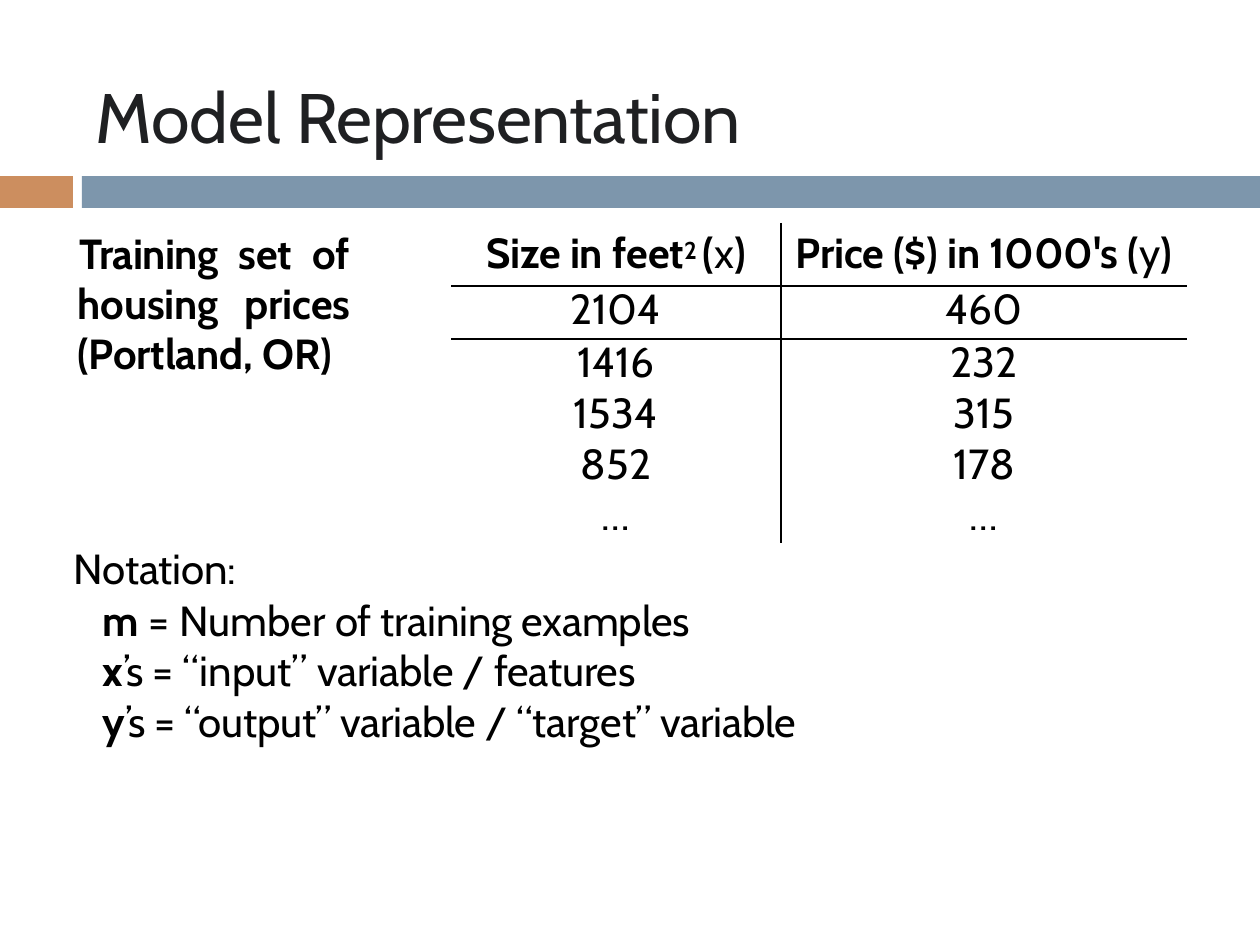
from lxml import etree
from pptx import Presentation
from pptx import util as u
from pptx.dml.color import RGBColor
from pptx.enum import shapes, text
from pptx.oxml import ns

COLORS = {"title": "1F2022", "text": "000000", "orange": "CC8E5F", "blue": "7D96AC"}
SCALE = 914400 / 126  # EMU per px


def px(length):
    return u.Emu(round(length * SCALE))


class SlideBuilder:
    font_name = "Cabin"
    body_size = 24

    def __init__(self, presentation):
        self.slide = presentation.slides.add_slide(presentation.slide_layouts[6])

    def bar(self, left, top, width, height, color):
        shape = self.slide.shapes.add_shape(
            shapes.MSO_SHAPE.RECTANGLE, px(left), px(top), px(width), px(height))
        shape.shadow.inherit = False
        shape.fill.solid()
        shape.fill.fore_color.rgb = RGBColor.from_string(COLORS[color])
        shape.line.fill.background()

    def fill_paragraph(self, paragraph, runs, size=body_size, color="text",
                       align=text.PP_ALIGN.LEFT, margin=0, indent=0, before=0, line=None):
        """Each run is (words, bold, letter spacing in 1/100 pt[, baseline in 1/1000 %])."""
        properties = paragraph._p.get_or_add_pPr()
        properties.set("marL", str(px(margin)))
        properties.set("indent", str(px(indent)))
        paragraph.alignment = align
        paragraph.space_before = u.Pt(before)
        if line:
            paragraph.line_spacing = u.Pt(line)
        paragraph.font.name = self.font_name
        paragraph.font.size = u.Pt(size)
        paragraph.font.color.rgb = RGBColor.from_string(COLORS[color])
        for words, bold, spacing, *baseline in runs:
            run = paragraph.add_run()
            run.text = words
            run.font.bold = bold
            run_properties = run._r.get_or_add_rPr()
            run_properties.set("spc", str(spacing))
            if baseline:
                run_properties.set("baseline", str(baseline[0]))

    def text_box(self, left, top, width, height, paragraphs, inset=1):
        """Each paragraph is (runs, options for fill_paragraph)."""
        shape = self.slide.shapes.add_textbox(px(left), px(top), px(width), px(height))
        frame = shape.text_frame
        frame.word_wrap = True
        frame.margin_left = frame.margin_right = frame.margin_bottom = 0
        frame.margin_top = px(inset)
        for index, (runs, options) in enumerate(paragraphs):
            paragraph = frame.add_paragraph() if index else frame.paragraphs[0]
            self.fill_paragraph(paragraph, runs, **options)

    def borders(self, cell, sides):
        properties = cell._tc.get_or_add_tcPr()
        for side in "LRTB":
            line = etree.SubElement(properties, ns.qn(f"a:ln{side}"))
            if side in sides:
                line.set("w", str(u.Pt(1.5)))
                fill = etree.SubElement(line, ns.qn("a:solidFill"))
                etree.SubElement(fill, ns.qn("a:srgbClr")).set("val", COLORS["text"])
            else:
                etree.SubElement(line, ns.qn("a:noFill"))

    def table(self, left, top, widths, heights, rows, ruled_rows):
        """Draw a line between columns, and one under each of the first ruled_rows rows."""
        table = self.slide.shapes.add_table(
            len(rows), len(widths), px(left), px(top),
            px(sum(widths)), px(sum(heights))).table
        table.first_row = table.horz_banding = False
        for column, width in zip(table.columns, widths):
            column.width = px(width)
        for row_index, (row, height) in enumerate(zip(rows, heights)):
            table.rows[row_index].height = px(height)
            for column_index, runs in enumerate(row):
                cell = table.cell(row_index, column_index)
                cell.margin_left = cell.margin_right = cell.margin_bottom = 0
                cell.margin_top = px(0 if row_index else 5)
                sides = "L" if column_index else "R"
                if row_index < ruled_rows:
                    sides += "B"
                if 0 < row_index <= ruled_rows:
                    sides += "T"
                self.borders(cell, sides)
                cell.fill.background()
                self.fill_paragraph(cell.text_frame.paragraphs[0], runs,
                                    align=text.PP_ALIGN.CENTER,
                                    line=27.8 if row_index else None)


def main():
    presentation = Presentation()
    presentation.slide_width, presentation.slide_height = px(1260), px(945)
    builder = SlideBuilder(presentation)

    # Bars under the title
    builder.bar(0, 176, 73, 32, "orange")
    builder.bar(82, 176, 1178, 32, "blue")

    # Title
    builder.text_box(95, 72, 702, 87, [
        ([("Model ", False, -10), ("Representation", False, -20)],
         {"size": 40, "color": "title", "margin": 1})], inset=2)

    # Training set
    builder.text_box(77, 224, 273, 205, [
        ([("Training ", True, -30), ("set of housing prices (Portland, OR)", True, -10)],
         {"align": text.PP_ALIGN.JUSTIFY, "margin": 1, "indent": 2})], inset=3)

    # Table of sizes and prices
    header = [
        [("Size in ", True, -10), ("feet", True, 0), ("2 ", True, 0, 21000),
         ("(", True, -10), ("x", False, -10), (")", True, -10)],
        [("Price ($) in 1000's (", True, -10), ("y", False, -10), (")", True, -10)],
    ]
    examples = [("2104", "460"), ("1416", "232"), ("1534", "315"), ("852", "178"), ("…", "…")]
    rows = [header] + [[[(value, False, 0)] for value in pair] for pair in examples]
    builder.table(451, 223, [330, 406], [63, 53] + [51] * 4, rows, ruled_rows=2)

    # Notation
    definition = {"margin": 30}
    builder.text_box(73, 539, 731, 208, [
        ([("Notation:", False, -10)], {"margin": 1}),
        ([("m ", True, 0), ("= Number ", False, 0),
          ("of training examples", False, -10)], {"margin": 30, "before": 1.2}),
        ([("x", True, -60), ("’s ", False, -60), ("= ", False, 0),
          ("“input” ", False, 10), ("variable / features", False, -10)], definition),
        ([("y", True, -50), ("’s ", False, -50), ("= ", False, 0),
          ("“output” variable / “target” variable", False, -10)], definition),
    ], inset=3)

    presentation.save("out.pptx")


if __name__ == "__main__":
    main()
